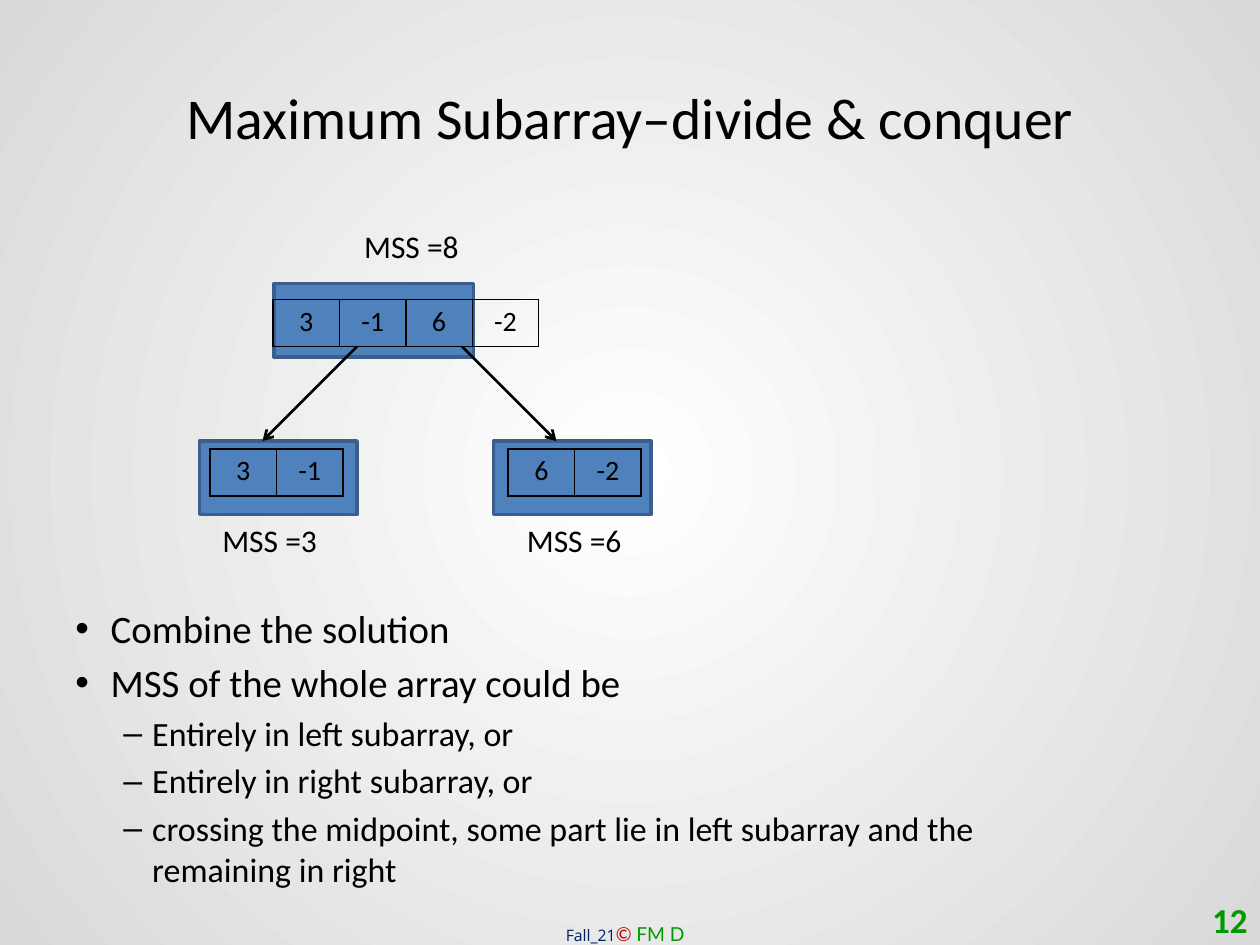
import pptx
import pptx.util
import pptx.dml.color
import pptx.enum.shapes
import pptx.enum.text
import pptx.oxml
import pptx.oxml.ns

RGBColor = pptx.dml.color.RGBColor
ALIGN = pptx.enum.text.PP_ALIGN
ANCHOR = pptx.enum.text.MSO_ANCHOR
Pt, Inches = pptx.util.Pt, pptx.util.Inches

BLACK = RGBColor(0x00, 0x00, 0x00)
WHITE = RGBColor(0xFF, 0xFF, 0xFF)
GRAY = RGBColor(0xD9, 0xD9, 0xD9)
BLUE = RGBColor(0x4F, 0x81, 0xBD)
DARK_BLUE = RGBColor(0x3A, 0x5F, 0x8C)
NAVY = RGBColor(0x00, 0x20, 0x60)
RED = RGBColor(0xC0, 0x00, 0x00)
GREEN = RGBColor(0x00, 0x99, 0x00)

WIDTH, HEIGHT = Inches(10), Inches(7.5)
UNIT = WIDTH / 120
CELL_W, CELL_H = 6.33, 4.5
BOX_H = 7
BODY = {"size": Pt(18), "name": "Calibri", "color": BLACK}


def grid(*cells):
    return [round(c * UNIT) for c in cells]


def xml(tag, attrs="", inner=""):
    ns = pptx.oxml.ns.nsdecls("a")
    return pptx.oxml.parse_xml(f"<a:{tag} {ns} {attrs}>{inner}</a:{tag}>")


def apply(obj, values):
    for key, value in values.items():
        setattr(obj, key, value)


def add_run(p, text, **fmt):
    r = p.add_run()
    r.text = text
    values = {**BODY, **fmt}
    r.font.color.rgb = values.pop("color")
    apply(r.font, values)


def add_text(slide, area, runs, align=ALIGN.LEFT, **frame):
    tf = slide.shapes.add_textbox(*grid(*area)).text_frame
    apply(tf, {"word_wrap": True, **frame})
    p = tf.paragraphs[0]
    p.alignment = align
    for text, fmt in runs:
        add_run(p, text, **fmt)


def add_bullets(slide, area, items):
    levels = [("•", 0.28, 0.28, 22.2), ("–", 0.61, 0.23, 19.4)]
    tf = slide.shapes.add_textbox(*grid(*area)).text_frame
    tf.word_wrap = True
    for i, (level, text) in enumerate(items):
        mark, left, hang, size = levels[level]
        p = tf.add_paragraph() if i else tf.paragraphs[0]
        apply(p, {"level": level, "space_before": Pt(size * 0.2)})
        pPr = p._p.get_or_add_pPr()
        pPr.set("marL", str(Inches(left)))
        pPr.set("indent", str(-Inches(hang)))
        pPr.append(xml("buFont", 'typeface="Arial"'))
        pPr.append(xml("buChar", f'char="{mark}"'))
        add_run(p, text, size=Pt(size))


def add_box(slide, col, row, width):
    sp = slide.shapes.add_shape(pptx.enum.shapes.MSO_SHAPE.RECTANGLE,
                                *grid(col, row, width, BOX_H))
    sp.shadow.inherit = False
    sp.fill.solid()
    sp.fill.fore_color.rgb = BLUE
    sp.line.color.rgb = DARK_BLUE
    sp.line.width = Pt(2)


def add_array(slide, col, row, values):
    area = grid(col, row, CELL_W * len(values), CELL_H)
    table = slide.shapes.add_table(1, len(values), *area).table
    apply(table, {"first_row": False, "horz_banding": False})
    line = '<a:solidFill><a:srgbClr val="000000"/></a:solidFill>'
    for cell, value in zip(table.iter_cells(), values):
        apply(cell, {"margin_left": Inches(0.07), "margin_right": Inches(0.07),
                     "margin_top": 0, "margin_bottom": 0})
        tcPr = cell._tc.get_or_add_tcPr()
        for side in "LRTB":
            tcPr.append(xml(f"ln{side}", f'w="{Pt(1)}"', line))
        cell.fill.background()
        p = cell.text_frame.paragraphs[0]
        apply(p, {"alignment": ALIGN.CENTER, "line_spacing": 1.15})
        add_run(p, str(value), size=Pt(16))


def add_arrow(slide, *ends):
    kind = pptx.enum.shapes.MSO_CONNECTOR.STRAIGHT
    line = slide.shapes.add_connector(kind, *grid(*ends))
    line.line.color.rgb = BLACK
    line.line.width = Pt(1.5)
    line.line._get_or_add_ln().append(xml("tailEnd", 'type="arrow"'))
    line._element.spPr.append(xml("effectLst"))


def set_background(slide):
    fill = slide.background.fill
    fill.gradient()
    for stop, color, position in zip(fill.gradient_stops, (WHITE, GRAY), (0, 1)):
        stop.color.rgb = color
        stop.position = position
    grad = slide._element.find(".//" + pptx.oxml.ns.qn("a:gradFill"))
    grad.remove(grad.find(pptx.oxml.ns.qn("a:lin")))
    center = '<a:fillToRect l="50000" t="50000" r="50000" b="50000"/>'
    grad.append(xml("path", 'path="circle"', center))


def main():
    """Build the divide and conquer slide for the maximum subarray sum."""
    prs = pptx.Presentation()
    prs.slide_width, prs.slide_height = WIDTH, HEIGHT
    slide = prs.slides.add_slide(prs.slide_layouts[6])
    set_background(slide)

    add_text(slide, (52.7, 87.25, 13.8, 3.5), [
        ("Fall_21", {"size": Pt(9), "name": "Open Sans", "color": NAVY}),
        ("© ", {"size": Pt(11), "name": "Lato", "color": RED, "italic": True}),
        ("FM D", {"size": Pt(11), "name": "Lato", "color": GREEN}),
    ], word_wrap=False)
    add_text(slide, (6, 3.6, 108, 15),
             [("Maximum Subarray–divide & conquer", {"size": Pt(33)})],
             ALIGN.CENTER, vertical_anchor=ANCHOR.MIDDLE)
    add_bullets(slide, (6, 57, 98, 28), [
        (0, "Combine the solution"),
        (0, "MSS of the whole array could be"),
        (1, "Entirely in left subarray, or"),
        (1, "Entirely in right subarray, or"),
        (1, "crossing the midpoint, some part lie in left subarray "
            "and the remaining in right"),
    ])

    for box in [(26.1, 27, 19), (47, 42, 15), (19, 42, 15)]:
        add_box(slide, *box)
    values = [3, -1, 6, -2]
    add_array(slide, 26, 28.5, values)
    add_array(slide, 20, 42.75, values[:2])
    add_array(slide, 48.4, 42.75, values[2:])
    for start, step in [(34, -9), (44, 9)]:
        add_arrow(slide, start, 33, start + step, 42)
    for col, row, total in [(20, 49, 3), (49, 49, 6), (33.5, 21, 8)]:
        add_text(slide, (col, row, 11.5, 4.8), [(f"MSS ={total}", {})],
                 word_wrap=False)
    add_text(slide, (92, 85.2, 28, 4.8),
             [("12", {"size": Pt(20), "color": GREEN, "bold": True})],
             ALIGN.RIGHT, vertical_anchor=ANCHOR.MIDDLE)
    prs.save("out.pptx")


if __name__ == "__main__":
    main()
